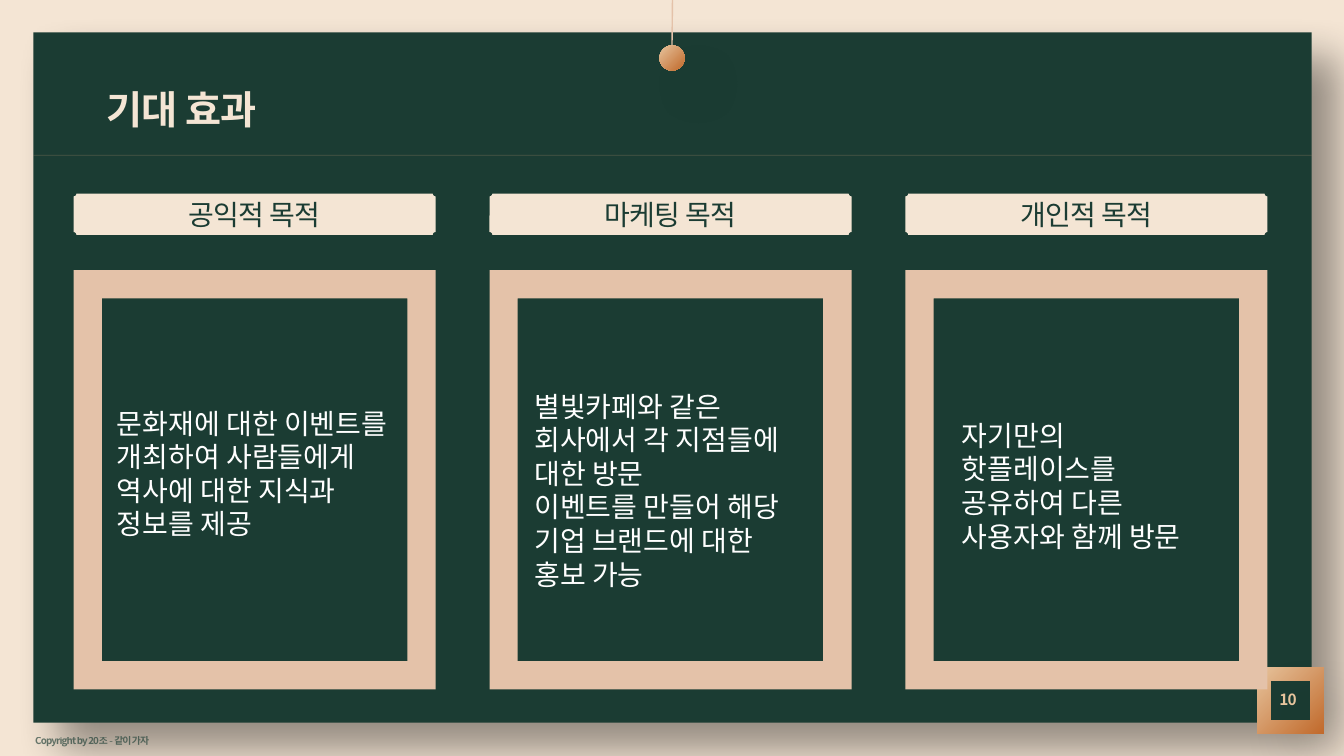
from lxml import etree
from pptx import Presentation
from pptx.dml.color import RGBColor
from pptx.enum.shapes import MSO_CONNECTOR, MSO_SHAPE
from pptx.enum.text import MSO_ANCHOR, PP_ALIGN
from pptx.oxml.ns import qn
from pptx.util import Inches, Pt

RECTANGLE, FRAME = MSO_SHAPE.RECTANGLE, MSO_SHAPE.FRAME
OVAL, PLAQUE = MSO_SHAPE.OVAL, MSO_SHAPE.PLAQUE
STRAIGHT = MSO_CONNECTOR.STRAIGHT
LEFT, CENTER = PP_ALIGN.LEFT, PP_ALIGN.CENTER
TOP, MIDDLE = MSO_ANCHOR.TOP, MSO_ANCHOR.MIDDLE

FONT = "Noto Sans CJK KR"
CREAM = RGBColor(0xF4, 0xE5, 0xD4)
GREEN = RGBColor(0x1B, 0x3C, 0x33)
SAND = RGBColor(0xE4, 0xC2, 0xA9)
ORANGE = RGBColor(0xE3, 0xAB, 0x83)
GOLD = RGBColor(0xE7, 0xC4, 0x9D)
COPPER = RGBColor(0xC1, 0x6A, 0x2C)
WHITE = RGBColor(0xFF, 0xFF, 0xFF)
BLACK = RGBColor(0x00, 0x00, 0x00)

prs = Presentation()
prs.slide_width, prs.slide_height = Inches(13.33), Inches(7.5)
slide = prs.slides.add_slide(prs.slide_layouts[6])
slide.background.fill.solid()
slide.background.fill.fore_color.rgb = CREAM


def add_block(kind, box, fill=None, adj=None, shadow=None):
    """Add a borderless shape; no fill means the gold gradient, shadow is its opacity in percent."""
    s = slide.shapes.add_shape(kind, *map(Inches, box))
    s.line.fill.background()
    if fill is None:
        s.fill.gradient()
        s.fill.gradient_angle = 315
        for stop, colour in zip(s.fill.gradient_stops, (GOLD, COPPER)):
            stop.color.rgb = colour
    else:
        s.fill.solid()
        s.fill.fore_color.rgb = fill
    if adj is not None:
        s.adjustments[0] = adj
    s.shadow.inherit = False
    if shadow:
        effects = s._element.spPr.find(qn("a:effectLst"))
        outer = etree.SubElement(effects, qn("a:outerShdw"), blurRad=str(Pt(30)),
                                 dist=str(Pt(26)), dir="2700000", algn="tl", rotWithShape="0")
        clr = etree.SubElement(outer, qn("a:srgbClr"), val=str(BLACK))
        etree.SubElement(clr, qn("a:alpha"), val=str(shadow * 1000))
    return s


def write_text(s, lines, size, colour, bold=False, align=LEFT, anchor=MIDDLE,
               margins=(0, 0, 0, 0), spacing=-60):
    tf = s.text_frame
    tf.word_wrap = True
    tf.vertical_anchor = anchor
    sides = ("margin_left", "margin_top", "margin_right", "margin_bottom")
    for side, margin in zip(sides, margins):
        setattr(tf, side, Inches(margin))
    for i, line in enumerate(lines):
        p = tf.paragraphs[0] if i == 0 else tf.add_paragraph()
        p.alignment = align
        r = p.add_run()
        r.text = line
        for name, value in {"size": Pt(size), "bold": bold, "name": FONT}.items():
            setattr(r.font, name, value)
        r.font.color.rgb = colour
        rPr = r.font._element
        rPr.set("spc", str(spacing))
        etree.SubElement(rPr, qn("a:ea"), typeface=FONT)
    return tf


# Board, divider and hanging ornament
add_block(RECTANGLE, (0.33, 0.32, 12.68, 6.85), GREEN, shadow=40)
add_block(FRAME, (12.47, 6.62, 0.66, 0.66), adj=0.2, shadow=8)
ball = add_block(OVAL, (6.54, 0.45, 0.25, 0.25), shadow=8)

connectors = []
for ends, colour, width in (((0.33, 1.54, 13.01, 1.54), ORANGE, 0.5),
                            ((6.67, 0.45, 6.67, 0), SAND, 1)):
    c = slide.shapes.add_connector(STRAIGHT, *map(Inches, ends))
    c.line.color.rgb = colour
    c.line.width = Pt(width)
    etree.SubElement(c._element.spPr, qn("a:effectLst"))
    connectors.append(c)
divider, string = connectors
string.begin_connect(ball, 0)
divider_clr = next(divider._element.iter(qn("a:srgbClr")))
etree.SubElement(divider_clr, qn("a:alpha"), val="24000")

# Title, footer and page number
labels = (
    ((0.48, 0.77, 2.64, 0.62), "기대 효과", 28, CREAM, CENTER),
    ((0.35, 7.18, 2.33, 0.32), "Copyright by 20조 - 같이 가자", 7, GREEN, LEFT),
    ((12.46, 6.83, 0.63, 0.22), "10", 11, GOLD, CENTER),
)
for box, text, size, colour, align in labels:
    s = slide.shapes.add_textbox(*map(Inches, box))
    tf = write_text(s, [text], size, colour, bold=True, align=align)
    if colour == GREEN:
        tf.paragraphs[0].line_spacing = 1.2
        footer_clr = next(s._element.iter(qn("a:srgbClr")))
        etree.SubElement(footer_clr, qn("a:alpha"), val="64000")

# Three cards: heading, frame and body text
CARD_LEFT, CARD_PITCH, CARD_WIDTH = 0.73, 4.125, 3.59
cards = (
    ("공익적 목적", (1.06, 3.98, 3.2, 2.05),
     ["문화재에 대한 이벤트를", "개최하여 사람들에게", "역사에 대한 지식과 정보를 제공"]),
    ("마케팅 목적", (5.2, 3.81, 2.91, 2.09),
     ["별빛카페와 같은 회사에서 각 지점들에 대한 방문", "이벤트를 만들어 해당",
      "기업 브랜드에 대한 홍보 가능"]),
    ("개인적 목적", (9.44, 4.1, 2.76, 1.41),
     ["자기만의 핫플레이스를 공유하여 다른 사용자와 함께 방문"]),
)
for i, (heading, body_box, body) in enumerate(cards):
    x = CARD_LEFT + i * CARD_PITCH
    add_block(FRAME, (x, 2.68, CARD_WIDTH, 4.16), SAND, adj=0.078)
    plaque = add_block(PLAQUE, (x, 1.92, CARD_WIDTH, 0.41), CREAM, adj=0.07)
    write_text(plaque, [heading], 20, GREEN, align=CENTER, margins=(0.2, 0.05, 0.2, 0.05))
    s = slide.shapes.add_textbox(*map(Inches, body_box))
    write_text(s, body, 20, WHITE, anchor=TOP, margins=(0.1, 0.05, 0.1, 0.05), spacing=0)

prs.save("out.pptx")
